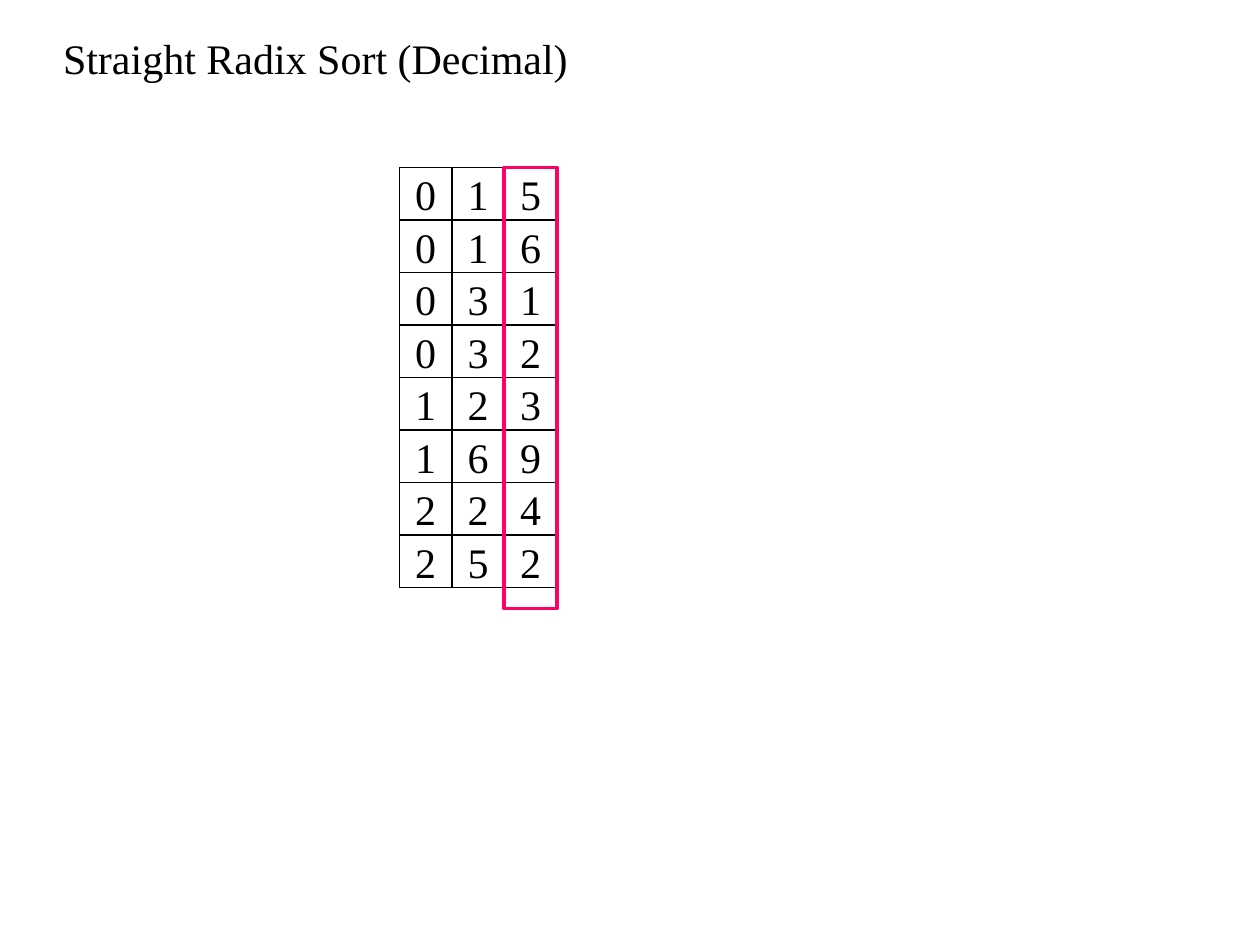
from pptx import Presentation
from pptx.dml.color import RGBColor
from pptx.enum.shapes import MSO_SHAPE
from pptx.enum.text import MSO_ANCHOR, MSO_AUTO_SIZE, PP_ALIGN
from pptx.util import Inches, Pt

RECTANGLE = MSO_SHAPE.RECTANGLE
LEFT, CENTER = PP_ALIGN.LEFT, PP_ALIGN.CENTER
TOP, MIDDLE = MSO_ANCHOR.TOP, MSO_ANCHOR.MIDDLE
FIT_SHAPE = MSO_AUTO_SIZE.SHAPE_TO_FIT_TEXT

TITLE_ONLY = 5
FONT = "Times New Roman"
BLACK, PINK = "000000", "FF0066"
NUMBERS = ["015", "016", "031", "032", "123", "169", "224", "252"]
CELL = Inches(1.25) // 3


def color(value):
    return RGBColor.from_string(value)


def write(box, text, align, anchor):
    frame = box.text_frame
    frame.word_wrap = False
    frame.vertical_anchor = anchor
    para = frame.paragraphs[0]
    para.alignment = align
    span = para.add_run()
    span.text = text
    span.font.name = FONT
    span.font.size = Pt(24)
    span.font.color.rgb = color(BLACK)


def add_outline(shapes, left, top, width, height, line_color, line_width):
    box = shapes.add_shape(RECTANGLE, left, top, width, height)
    box.shadow.inherit = False
    box.fill.background()
    box.line.color.rgb = color(line_color)
    box.line.width = Pt(line_width)
    return box


def place_title(page, left, top, width, height):
    title = page.shapes.title
    title.left, title.top, title.width, title.height = left, top, width, height
    write(title, "Straight Radix Sort (Decimal)", LEFT, TOP)
    title.text_frame.auto_size = FIT_SHAPE


def add_digit_grid(page, left, top):
    """Draw each number as a grouped row of square digit cells."""
    for row, number in enumerate(NUMBERS):
        group = page.shapes.add_group_shape()
        for column, digit in enumerate(number):
            cell = add_outline(group.shapes, left + column * CELL,
                               top + row * CELL, CELL, CELL, BLACK, 0.75)
            write(cell, digit, CENTER, MIDDLE)


def add_column_marker(page, left, top, column):
    add_outline(page.shapes, left + column * CELL, top, CELL, Inches(3.5),
                PINK, 2.25)


def main():
    deck = Presentation()
    deck.slide_width, deck.slide_height = Inches(10), Inches(7.5)
    page = deck.slides.add_slide(deck.slide_layouts[TITLE_ONLY])
    place_title(page, Inches(0.4), Inches(0.21), Inches(4.21), Inches(0.5))
    grid_left, grid_top = Inches(3.17), Inches(1.33)
    add_digit_grid(page, grid_left, grid_top)
    add_column_marker(page, grid_left, grid_top, column=2)
    deck.save("out.pptx")


if __name__ == "__main__":
    main()
